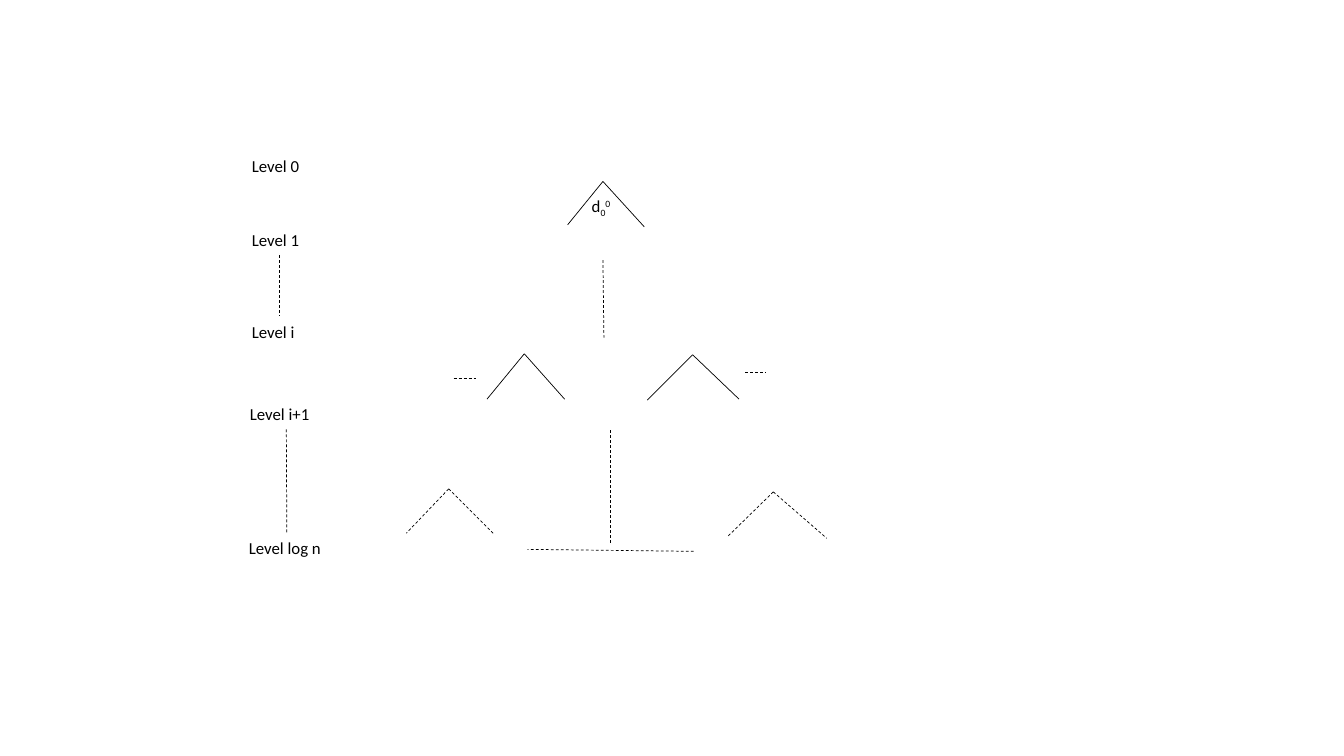
from lxml.etree import SubElement
from pptx import Presentation
from pptx.dml.color import RGBColor
from pptx.enum.dml import MSO_LINE_DASH_STYLE as Dash
from pptx.enum.shapes import MSO_CONNECTOR as Conn
from pptx.enum.text import MSO_AUTO_SIZE as AutoSize
from pptx.oxml.ns import qn
from pptx.util import Inches, Pt

COLORS = {"ink": "000000"}
FONT = "Calibri"
TEXT_H = 0.3
BOTTOM, TOP = 2, 0

LEVELS = [
    ("Level 0", 2.4, 1.5, 0.74),
    ("Level 1", 2.4, 2.23, 0.74),
    ("Level i", 2.4, 3.14, 0.74),
    ("Level i+1", 2.38, 3.96, 0.92),
    ("Level log n", 2.37, 5.29, 0.95),
]
LEVEL_GAPS = [("Level 1", "Level i"), ("Level i+1", "Level log n")]
ROOT_LABEL = [("d", None), ("0", -25000), ("0", 30000)]
ROOT_AT = (5.77, 1.89, 0.45)

BRANCHES = [
    ((5.98, 1.8), (5.63, 2.23), (6.39, 2.25), False),
    ((5.2, 3.51), (4.83, 3.96), (5.6, 3.96), False),
    ((6.87, 3.52), (6.42, 3.97), (7.33, 3.96), False),
    ((4.45, 4.85), (4.03, 5.29), (4.9, 5.3), True),
    ((7.67, 4.88), (7.22, 5.32), (8.2, 5.34), True),
]
ELLIPSES = [
    ((5.98, 2.58), (5.99, 3.35)),
    ((6.05, 4.27), (6.05, 5.41)),
    ((6.88, 5.47), (5.23, 5.45)),
    ((4.5, 3.75), (4.72, 3.75)),
    ((7.39, 3.69), (7.6, 3.69)),
]


def add_label(slide, pieces, left, top, width):
    sp = slide.shapes.add_textbox(*map(Inches, (left, top, width, TEXT_H)))
    tf = sp.text_frame
    tf.word_wrap = True
    tf.auto_size = AutoSize.SHAPE_TO_FIT_TEXT
    for text, baseline in pieces:
        r = tf.paragraphs[0].add_run()
        r.text = text
        r.font.name = FONT
        r.font.size = Pt(12)
        r.font.color.rgb = RGBColor.from_string(COLORS["ink"])
        if baseline:
            r._r.get_or_add_rPr().set("baseline", str(baseline))
    return sp


def add_line(slide, start, end, dashed=True):
    line = slide.shapes.add_connector(Conn.STRAIGHT, *map(Inches, start + end))
    line.line.color.rgb = RGBColor.from_string(COLORS["ink"])
    line.line.width = Pt(0.5)
    if dashed:
        line.line.dash_style = Dash.DASH
    SubElement(line._element.spPr, qn("a:effectLst"))
    return line


def main():
    """Build the slide of a binary tree with its levels."""
    prs = Presentation()
    prs.slide_width, prs.slide_height = Inches(13.33), Inches(7.5)
    slide = prs.slides.add_slide(prs.slide_layouts[6])

    labels = {text: add_label(slide, [(text, None)], *at) for text, *at in LEVELS}
    for upper, lower in LEVEL_GAPS:
        line = add_line(slide, (0, 0), (1, 1))
        line.begin_connect(labels[upper], BOTTOM)
        line.end_connect(labels[lower], TOP)

    for apex, left, right, dashed in BRANCHES:
        for foot in (left, right):
            add_line(slide, apex, foot, dashed)
    for start, end in ELLIPSES:
        add_line(slide, start, end)
    add_label(slide, ROOT_LABEL, *ROOT_AT)

    prs.save("out.pptx")


if __name__ == "__main__":
    main()
